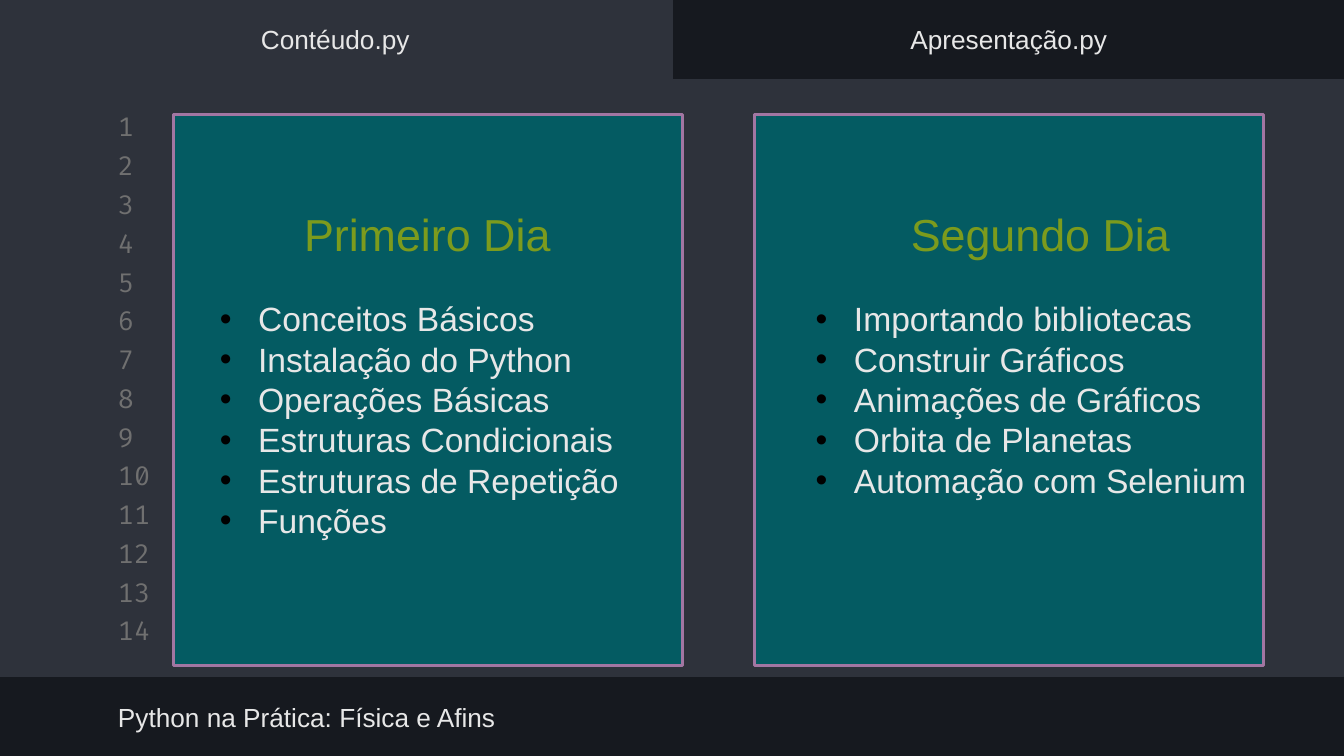
from lxml.etree import SubElement
from pptx import Presentation
from pptx.dml.color import RGBColor
from pptx.enum.shapes import MSO_SHAPE as Shape
from pptx.enum.text import MSO_ANCHOR as Anchor, MSO_AUTO_SIZE as AutoSize, PP_ALIGN as Align
from pptx.oxml.ns import qn
from pptx.util import Inches, Pt

TABS = ["Contéudo.py", "Apresentação.py"]
FOOTER = "Python na Prática: Física e Afins"
LINE_COUNT = 14
DAYS = [
    {
        "heading": "Primeiro Dia",
        "topics": ["Conceitos Básicos", "Instalação do Python", "Operações Básicas",
                   "Estruturas Condicionais", "Estruturas de Repetição", "Funções"],
        "card_left": 1.72,
        "heading_left": 2.66,
        "topics_left": 2.05,
        "topics_width": 4.38,
    },
    {
        "heading": "Segundo Dia",
        "topics": ["Importando bibliotecas", "Construir Gráficos", "Animações de Gráficos",
                   "Orbita de Planetas", "Automação com Selenium"],
        "card_left": 7.48,
        "heading_left": 8.74,
        "topics_left": 7.96,
        "topics_width": 4.72,
    },
]

NIGHT = RGBColor(0x16, 0x19, 0x1F)
EDITOR = RGBColor(0x2E, 0x32, 0x3B)
GUTTER = RGBColor(0x70, 0x70, 0x70)
LIGHT = RGBColor(0xE7, 0xE7, 0xE7)
TEAL = RGBColor(0x04, 0x5B, 0x62)
MAUVE = RGBColor(0xA2, 0x76, 0xA2)
OLIVE = RGBColor(0x7C, 0x9B, 0x1D)

WIDTH, HEIGHT = 13.33, 7.5
TAB_WIDTH = 6.67
LINE_TOP, LINE_STEP = 1.09, 5 / 13
INSET, BULLET_INDENT = 0.13, 0.38

LABEL = {"name": "Arial", "size": Pt(18.7), "color": LIGHT}
LINE_NUMBER = {"name": "Fira Code", "size": Pt(18.7), "color": GUTTER}
HEADING = {"name": "Arial", "size": Pt(32), "color": OLIVE}
TOPIC = {"name": "Arial", "size": Pt(24), "color": LIGHT}


def add_panel(slide, box, fill, line, line_width):
    panel = slide.shapes.add_shape(Shape.RECTANGLE, *map(Inches, box))
    panel.shadow.inherit = False
    panel.fill.solid()
    panel.fill.fore_color.rgb = fill
    panel.line.color.rgb = line
    panel.line.width = Pt(line_width)


def add_bullet(paragraph):
    properties = paragraph._p.get_or_add_pPr()
    properties.set("marL", str(Inches(BULLET_INDENT)))
    properties.set("indent", str(-Inches(BULLET_INDENT)))
    color = SubElement(properties, qn("a:buClr"))
    SubElement(color, qn("a:srgbClr"), val="000000")
    SubElement(properties, qn("a:buFont"), typeface="Arial")
    SubElement(properties, qn("a:buChar"), char="•")


def write(holder, lines, style, align=Align.LEFT, anchor=Anchor.MIDDLE, bulleted=False):
    frame = holder.text_frame
    frame_format = {"word_wrap": True, "auto_size": AutoSize.NONE, "vertical_anchor": anchor}
    for side in ("left", "top", "right", "bottom"):
        frame_format[f"margin_{side}"] = Inches(INSET)
    for attribute, value in frame_format.items():
        setattr(frame, attribute, value)
    for index, line in enumerate(lines):
        paragraph = frame.add_paragraph() if index else frame.paragraphs[0]
        paragraph.alignment = align
        if bulleted:
            add_bullet(paragraph)
        run = paragraph.add_run()
        run.text = line
        for attribute, value in style.items():
            if attribute == "color":
                run.font.color.rgb = value
            else:
                setattr(run.font, attribute, value)


def add_text(slide, box, lines, style, **layout):
    write(slide.shapes.add_textbox(*map(Inches, box)), lines, style, **layout)


def place_title(slide, box, text):
    title = slide.shapes.title
    for attribute, value in zip(("left", "top", "width", "height"), box):
        setattr(title, attribute, Inches(value))
    write(title, [text], LABEL, align=Align.CENTER)
    title.element.getparent().append(title.element)


def main():
    deck = Presentation()
    deck.slide_width, deck.slide_height = Inches(WIDTH), Inches(HEIGHT)
    slide = deck.slides.add_slide(deck.slide_layouts[5])
    slide.background.fill.solid()
    slide.background.fill.fore_color.rgb = NIGHT

    add_panel(slide, (0, 0.79, WIDTH, 5.92), EDITOR, EDITOR, 0.75)
    add_panel(slide, (0, 0, TAB_WIDTH, 0.86), EDITOR, EDITOR, 0.75)
    for index in range(LINE_COUNT):
        top = LINE_TOP + index * LINE_STEP
        add_text(slide, (1.04, top, 0.63, 0.33), [str(index + 1)], LINE_NUMBER)

    place_title(slide, (-0.01, 0.13, TAB_WIDTH, 0.52), TABS[0])
    add_text(slide, (TAB_WIDTH, 0.13, TAB_WIDTH, 0.52), [TABS[1]], LABEL, align=Align.CENTER)
    add_text(slide, (1.04, 6.85, 7.09, 0.52), [FOOTER], LABEL)

    for day in DAYS:
        add_panel(slide, (day["card_left"], 1.14, 5.05, 5.46), TEAL, MAUVE, 2)
        add_text(slide, (day["heading_left"], 1.81, 3.16, 1.02), [day["heading"]], HEADING,
                 align=Align.CENTER)
        add_text(slide, (day["topics_left"], 2.83, day["topics_width"], 2.73), day["topics"],
                 TOPIC, anchor=Anchor.TOP, bulleted=True)

    deck.save("out.pptx")


if __name__ == "__main__":
    main()
